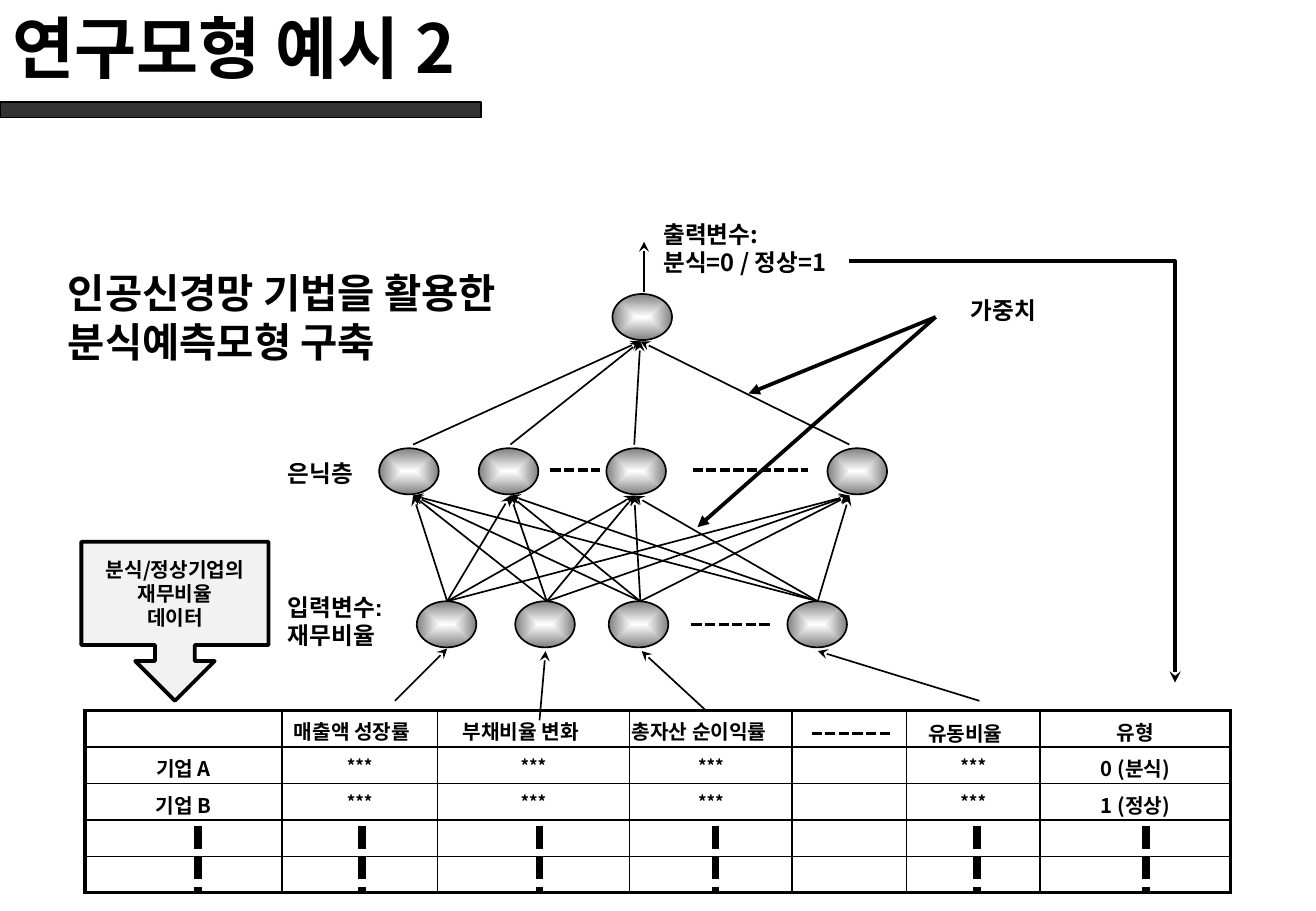
from dataclasses import dataclass
from itertools import product

from lxml.etree import SubElement
from pptx import Presentation
from pptx.dml.color import RGBColor
from pptx.enum.dml import MSO_LINE
from pptx.enum.shapes import MSO_CONNECTOR, MSO_SHAPE
from pptx.enum.text import MSO_ANCHOR, MSO_AUTO_SIZE, PP_ALIGN
from pptx.oxml.ns import qn
from pptx.util import Inches, Pt

KOREAN = "Noto Sans CJK KR"
BLACK = "000000"
NODE_SIZE = (0.49, 0.38)
TABLE_LEFT, TABLE_TOP, ROW_HEIGHT = 0.7, 5.85, 0.3
COLUMN_WIDTHS = [1.62, 1.28, 1.58, 1.34, 0.94, 1.1, 1.57]
TABLE_ROWS = [
    ["", "", "", "", "", "", "유형"],
    ["기업 A", "***", "***", "***", "", "***", "0 (분식)"],
    ["기업 B", "***", "***", "***", "", "***", "1 (정상)"],
    [""] * 7,
    [""] * 7,
]


@dataclass
class Label:
    lines: list[str]
    box: tuple[float, float, float, float]
    size: float = 14
    font: str = KOREAN
    wrap: bool = False


@dataclass
class Line:
    start: tuple[float, float]
    end: tuple[float, float]
    width: float = 1
    arrow: str = ""
    dotted: bool = False


LABELS = [
    Label(["가중치"], (7.89, 2.39, 0.79, 0.34)),
    Label(["출력변수:", "분식=0 / 정상=1"], (5.36, 1.76, 1.72, 0.57)),
    Label(["입력변수:", "재무비율"], (2.27, 4.83, 1.03, 0.57), font="Arial"),
    Label(["은닉층"], (2.27, 3.73, 0.77, 0.33), font="Times New Roman"),
    Label(["인공신경망 기법을 활용한 분식예측모형 구축"], (0.46, 2.16, 5.42, 0.91), 24, wrap=True),
    Label(["매출액 성장률"], (2.32, 5.87, 1.24, 0.3), 12, "Arial"),
    Label(["부채비율 변화"], (3.71, 5.87, 1.24, 0.3), 12, "Arial"),
    Label(["총자산 순이익률"], (5.1, 5.87, 1.4, 0.3), 12, "Arial"),
    Label(["유동비율"], (7.54, 5.89, 0.86, 0.3), 12, "Arial"),
]

NODES = [
    *((x, 4.95) for x in (3.43, 4.24, 5.01, 6.48)),
    *((x, 3.69) for x in (3.12, 3.94, 4.99, 6.81)),
    (5.04, 2.42),
]
INPUT_X = [3.68, 4.5, 5.27, 6.73]
HIDDEN_X = [3.4, 4.2, 5.22, 6.99]
NETWORK_LINES = [
    *(Line((x, 4.95), (hidden, 4.08), arrow="stealth") for x, hidden in product(INPUT_X, HIDDEN_X)),
    *(Line((x, 3.66), (5.27, 2.81), arrow="stealth") for x in HIDDEN_X),
    Line((3.25, 5.77), (3.68, 5.34), arrow="stealth"),
    Line((4.44, 5.93), (4.49, 5.36), arrow="stealth"),
    Line((5.81, 5.85), (5.28, 5.36), arrow="stealth"),
    Line((8.06, 5.77), (6.73, 5.36), arrow="stealth"),
    Line((5.3, 2.4), (5.3, 1.99), arrow="stealth"),
    Line((7.7, 2.61), (6.16, 3.24), 2.25, "triangle"),
    Line((7.7, 2.61), (5.74, 4.34), 2.25, "triangle"),
    Line((5.69, 5.14), (6.36, 5.14), 2, dotted=True),
    Line((5.7, 3.87), (6.65, 3.87), 2, dotted=True),
    Line((4.53, 3.87), (4.94, 3.87), 2, dotted=True),
]
TABLE_DOTS = [
    *(Line((x, 6.8), (x, 7.35), 4.5, dotted=True) for x in (1.63, 2.98, 4.44, 5.89, 8.04, 9.43)),
    Line((6.68, 6.04), (7.35, 6.04), 2, dotted=True),
]


def color(value: str) -> RGBColor:
    return RGBColor.from_string(value)


def add_run(paragraph, text: str, size: float, font: str = KOREAN) -> None:
    run = paragraph.add_run()
    run.text = text
    run.font.size, run.font.bold, run.font.name = Pt(size), True, font
    run.font.color.rgb = color(BLACK)
    SubElement(run.font._element, qn("a:ea"), typeface=KOREAN)


def write_lines(frame, lines: list[str], size: float, font: str = KOREAN, align=PP_ALIGN.LEFT) -> None:
    for index, text in enumerate(lines):
        paragraph = frame.add_paragraph() if index else frame.paragraphs[0]
        paragraph.alignment = align
        add_run(paragraph, text, size, font)


def outline(shape, width: float) -> None:
    shape.line.color.rgb = color(BLACK)
    shape.line.width = Pt(width)


def add_arrowhead(shape, kind: str) -> None:
    SubElement(shape.line._get_or_add_ln(), qn("a:tailEnd"), type=kind)


def add_line(slide, line: Line) -> None:
    points = [Inches(value) for value in (*line.start, *line.end)]
    connector = slide.shapes.add_connector(MSO_CONNECTOR.STRAIGHT, *points)
    outline(connector, line.width)
    if line.dotted:
        connector.line.dash_style = MSO_LINE.SQUARE_DOT
    if line.arrow:
        add_arrowhead(connector, line.arrow)
    SubElement(connector._element.spPr, qn("a:effectLst"))


def add_box(slide, kind, box: tuple[float, float, float, float], fill: str, width: float):
    shape = slide.shapes.add_shape(kind, *map(Inches, box))
    shape.shadow.inherit = False
    shape.fill.solid()
    shape.fill.fore_color.rgb = color(fill)
    outline(shape, width)
    return shape


def add_node(slide, left: float, top: float) -> None:
    """Draw a neuron, shaded from a white centre to a grey rim."""
    node = add_box(slide, MSO_SHAPE.OVAL, (left, top, *NODE_SIZE), "FFFFFF", 1)
    node.fill.gradient()
    for stop, value in zip(node.fill.gradient_stops, ("FFFFFF", "808080")):
        stop.color.rgb = color(value)
    gradient = node._element.spPr.find(qn("a:gradFill"))
    gradient.remove(gradient.find(qn("a:lin")))
    shading = SubElement(gradient, qn("a:path"), path="shape")
    SubElement(shading, qn("a:fillToRect"), l="50000", t="50000", r="50000", b="50000")


def add_label(slide, label: Label) -> None:
    frame = slide.shapes.add_textbox(*map(Inches, label.box)).text_frame
    frame.word_wrap = label.wrap
    frame.auto_size = MSO_AUTO_SIZE.SHAPE_TO_FIT_TEXT
    write_lines(frame, label.lines, label.size, label.font)


def set_borders(cell, outer: dict[str, bool]) -> None:
    """Give the table's outer sides a thick border and the others a thin one."""
    properties = cell._tc.get_or_add_tcPr()
    for side, is_outer in outer.items():
        border = SubElement(properties, qn(f"a:ln{side}"), w=str(Pt(2.25 if is_outer else 1)))
        SubElement(SubElement(border, qn("a:solidFill")), qn("a:srgbClr"), val=BLACK)


def add_ratio_table(slide) -> None:
    row_count, column_count = len(TABLE_ROWS), len(COLUMN_WIDTHS)
    area = (TABLE_LEFT, TABLE_TOP, sum(COLUMN_WIDTHS), ROW_HEIGHT * row_count)
    table = slide.shapes.add_table(row_count, column_count, *map(Inches, area)).table
    table.first_row = table.horz_banding = False
    for column, width in zip(table.columns, COLUMN_WIDTHS):
        column.width = Inches(width)
    for r, c in product(range(row_count), range(column_count)):
        cell, text = table.cell(r, c), TABLE_ROWS[r][c]
        set_borders(cell, {"L": c == 0, "R": c == column_count - 1, "T": r == 0, "B": r == row_count - 1})
        cell.fill.background()
        cell.margin_top, cell.margin_bottom = Inches(0.05), 0
        if text:
            write_lines(cell.text_frame, [text], 10 if text == "***" else 12, align=PP_ALIGN.CENTER)
        else:
            SubElement(cell.text_frame.paragraphs[0]._p, qn("a:endParaRPr"), sz="1000")


def add_output_arrow(slide) -> None:
    corners = [(Inches(x), Inches(y)) for x, y in ((6.99, 2.15), (9.67, 2.15), (9.67, 5.62))]
    builder = slide.shapes.build_freeform(*corners[0])
    builder.add_line_segments(corners[1:], close=False)
    arrow = builder.convert_to_shape()
    arrow.shadow.inherit = False
    arrow.fill.background()
    outline(arrow, 2.25)
    add_arrowhead(arrow, "stealth")


def add_title(slide) -> None:
    title = slide.shapes.title
    title.left, title.top, title.width, title.height = map(Inches, (0, -0.19, 9.02, 1.14))
    title.text_frame.vertical_anchor = MSO_ANCHOR.MIDDLE
    write_lines(title.text_frame, ["연구모형 예시 2"], 40)


def main() -> None:
    presentation = Presentation()
    presentation.slide_width, presentation.slide_height = Inches(10.83), Inches(7.5)
    slide = presentation.slides.add_slide(presentation.slide_layouts[5])
    add_box(slide, MSO_SHAPE.RECTANGLE, (0, 0.84, 3.96, 0.13), "333333", 0.75)
    add_title(slide)
    for left, top in NODES:
        add_node(slide, left, top)
    for line in NETWORK_LINES:
        add_line(slide, line)
    add_ratio_table(slide)
    for line in TABLE_DOTS:
        add_line(slide, line)
    add_output_arrow(slide)
    callout = add_box(slide, MSO_SHAPE.DOWN_ARROW_CALLOUT, (0.67, 4.46, 1.54, 1.31), "F2F2F2", 2.25)
    callout.text_frame.word_wrap = False
    write_lines(callout.text_frame, ["분식/정상기업의", "재무비율", "데이터"], 12, align=PP_ALIGN.CENTER)
    for label in LABELS:
        add_label(slide, label)
    presentation.save("out.pptx")


if __name__ == "__main__":
    main()
